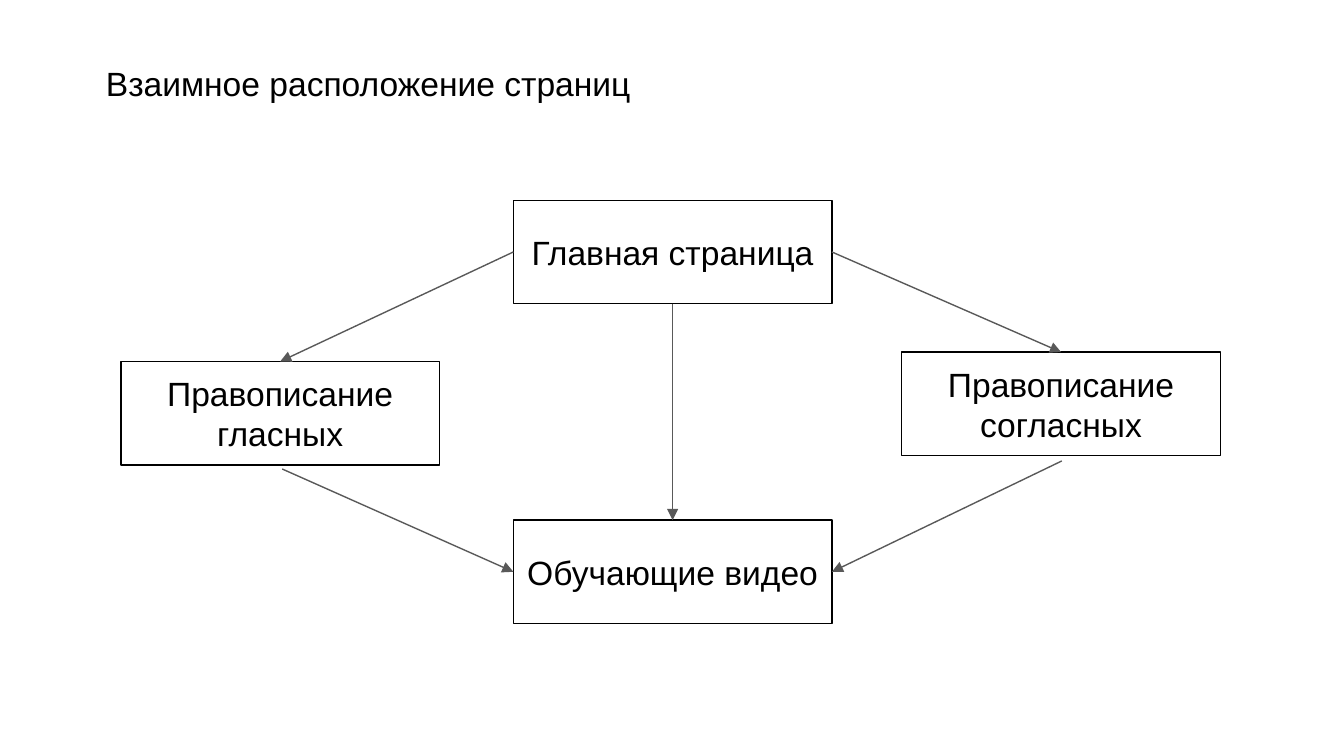
from lxml import etree
from pptx import Presentation
from pptx.dml.color import RGBColor
from pptx.enum.shapes import MSO_CONNECTOR, MSO_SHAPE
from pptx.enum.text import MSO_ANCHOR, PP_ALIGN
from pptx.oxml.ns import qn
from pptx.util import Inches, Pt

RECT = MSO_SHAPE.RECTANGLE
STRAIGHT = MSO_CONNECTOR.STRAIGHT
MIDDLE, TOP_TEXT = MSO_ANCHOR.MIDDLE, MSO_ANCHOR.TOP
CENTER, START = PP_ALIGN.CENTER, PP_ALIGN.LEFT
BLACK = RGBColor(0x00, 0x00, 0x00)
GRAY = RGBColor(0x59, 0x59, 0x59)
TOP, LEFT, BOTTOM, RIGHT = range(4)

WIDTH = Inches(10)
HEIGHT = WIDTH * 9 // 16
TITLE = "Взаимное расположение страниц"
BOX_W, BOX_H = 2.37, 0.77
PAGES = {  # key: (text, left, top)
    "main": ("Главная страница", 3.82, 1.49),
    "vowels": ("Правописание гласных", 0.9, 2.69),
    "consonants": ("Правописание согласных", 6.71, 2.62),
    "videos": ("Обучающие видео", 3.82, 3.87),
}
# A start is a (page, side) pair, or a point just below a page.
LINKS = [
    (("main", LEFT), ("vowels", TOP)),
    (("main", RIGHT), ("consonants", TOP)),
    (("main", BOTTOM), ("videos", TOP)),
    ((2.1, 3.49), ("videos", LEFT)),
    ((7.9, 3.43), ("videos", RIGHT)),
]
FONT = {"name": "Arial", "size": Pt(18)}
MARGINS = ("margin_left", "margin_top", "margin_right", "margin_bottom")


def write(shape, text, align, anchor):
    frame = shape.text_frame
    frame.word_wrap = True
    frame.vertical_anchor = anchor
    for side in MARGINS:
        setattr(frame, side, Inches(0.1))
    para = frame.paragraphs[0]
    para.alignment = align
    run = para.add_run()
    run.text = text
    for key, value in FONT.items():
        setattr(run.font, key, value)
    run.font.color.rgb = BLACK


def outline(shape, color):
    shape.line.color.rgb = color
    shape.line.width = Pt(0.75)


def add_page(shapes, text, left, top):
    box = shapes.add_shape(RECT, *map(Inches, (left, top, BOX_W, BOX_H)))
    box.shadow.inherit = False
    box.fill.background()
    outline(box, BLACK)
    write(box, text, CENTER, MIDDLE)
    return box


def add_link(shapes, boxes, start, end):
    joined = start[0] in boxes
    x, y = (0, 0) if joined else map(Inches, start)
    link = shapes.add_connector(STRAIGHT, x, y, x, y)
    if joined:
        link.begin_connect(boxes[start[0]], start[1])
    link.end_connect(boxes[end[0]], end[1])
    outline(link, GRAY)
    etree.SubElement(link.line._get_or_add_ln(), qn("a:tailEnd"), type="triangle")
    etree.SubElement(link._element.spPr, qn("a:effectLst"))


def main():
    deck = Presentation()
    deck.slide_width, deck.slide_height = WIDTH, HEIGHT
    shapes = deck.slides.add_slide(deck.slide_layouts[6]).shapes
    title = shapes.add_textbox(*map(Inches, (0.69, 0.37, 7.27, 0.65)))
    write(title, TITLE, START, TOP_TEXT)
    boxes = {key: add_page(shapes, *page) for key, page in PAGES.items()}
    for start, end in LINKS:
        add_link(shapes, boxes, start, end)
    deck.save("out.pptx")


if __name__ == "__main__":
    main()
